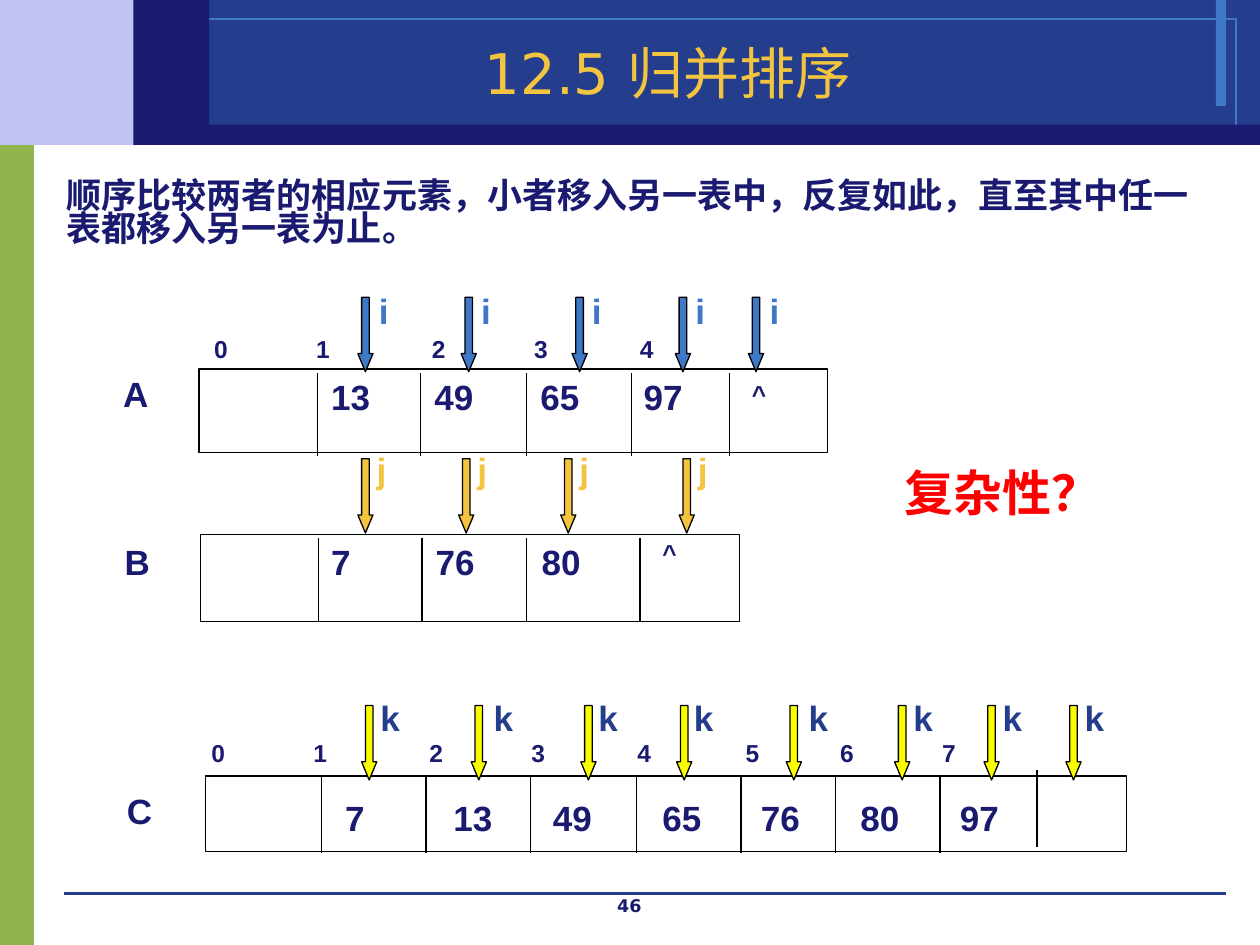
import pptx
import pptx.dml.color
import pptx.enum.shapes
import pptx.enum.text
import pptx.oxml
import pptx.oxml.ns
import pptx.util
from pptx.dml.color import RGBColor
from pptx.util import Inches

NAVY = RGBColor(0x1A, 0x1A, 0x70)
ROYAL = RGBColor(0x24, 0x3D, 0x8C)
BLUE = RGBColor(0x3E, 0x78, 0xC6)
LILAC = RGBColor(0xC3, 0xC3, 0xF1)
GREEN = RGBColor(0x90, 0xB5, 0x4D)
GOLD = RGBColor(0xF3, 0xC4, 0x3F)
YELLOW = RGBColor(0xFA, 0xFD, 0x00)
RED = RGBColor(0xFF, 0x00, 0x00)
BLACK = RGBColor(0x00, 0x00, 0x00)

SHAPE = pptx.enum.shapes.MSO_SHAPE
ALIGN = pptx.enum.text.PP_ALIGN
CJK_FONT = "Noto Sans CJK SC"
INDEX_STOPS = (0.81, 1.73, 2.54, 3.38, 4.24, 4.99, 5.8)


class MergeSlide:
    def __init__(self, slide):
        self.slide = slide
        self.font = "Arial"
        self.line_width = 0.75

    def styled_run(self, paragraph, text, size, color, bold=True, font=None):
        run = paragraph.add_run()
        run.text = text
        run.font.size = pptx.util.Pt(size)
        run.font.bold = bold
        run.font.color.rgb = color
        run.font.name = font or self.font
        east_asian = pptx.oxml.parse_xml(
            f'<a:ea {pptx.oxml.ns.nsdecls("a")} typeface="{CJK_FONT}"/>')
        run.font._element.append(east_asian)

    def title(self, text, box):
        heading = self.slide.shapes.title
        heading.left, heading.top, heading.width, heading.height = map(Inches, box)
        heading.text_frame.vertical_anchor = pptx.enum.text.MSO_ANCHOR.MIDDLE
        paragraph = heading.text_frame.paragraphs[0]
        paragraph.alignment = ALIGN.CENTER
        self.styled_run(paragraph, text, 32, GOLD, False, "DejaVu Sans")
        self.slide.shapes._spTree.append(heading._element)

    def text(self, text, box, size=20, color=NAVY, font=None, align=None,
             spacing=None, parent=None):
        label = (parent or self.slide).shapes.add_textbox(*map(Inches, box))
        label.text_frame.word_wrap = True
        paragraph = label.text_frame.paragraphs[0]
        paragraph.alignment = align
        paragraph.line_spacing = spacing
        self.styled_run(paragraph, text, size, color, font=font)
        return paragraph

    def indices(self, count, left, top, width):
        paragraph = self.text("\t".join(map(str, range(count))),
                              (left, top, width, 0.33), size=14)
        stops = "".join(f'<a:tab pos="{Inches(stop)}" algn="l"/>'
                        for stop in INDEX_STOPS[:count - 1])
        paragraph._p.get_or_add_pPr().append(pptx.oxml.parse_xml(
            f'<a:tabLst {pptx.oxml.ns.nsdecls("a")}>{stops}</a:tabLst>'))

    def shape(self, box, fill=None, line=None, width=None, kind=SHAPE.RECTANGLE,
              parent=None):
        block = (parent or self.slide).shapes.add_shape(kind, *map(Inches, box))
        block.shadow.inherit = False
        if fill is None:
            block.fill.background()
        else:
            block.fill.solid()
            block.fill.fore_color.rgb = fill
        if line is None:
            block.line.fill.background()
        else:
            block.line.color.rgb = line
            block.line.width = pptx.util.Pt(self.line_width if width is None else width)
        return block

    def line(self, start, end, color=BLACK, width=None):
        rule = self.slide.shapes.add_connector(
            pptx.enum.shapes.MSO_CONNECTOR.STRAIGHT, *map(Inches, (*start, *end)))
        rule.line.color.rgb = color
        rule.line.width = pptx.util.Pt(self.line_width if width is None else width)
        rule._element.spPr.append(pptx.oxml.parse_xml(
            f'<a:effectLst {pptx.oxml.ns.nsdecls("a")}/>'))

    def array(self, name, name_at, frame, dividers, divider_top, divider_height,
              values, value_lefts, value_top):
        self.shape(frame, line=BLACK)
        for x in dividers:
            self.line((x, divider_top), (x, divider_top + divider_height))
        for value, left in zip(values, value_lefts):
            self.text(str(value), (left, value_top, 0.67, 0.43))
        self.text(name, (*name_at, 0.67, 0.43))

    def pointers(self, name, top, name_top, places, fill, color):
        for left, name_left in places:
            pointer = self.slide.shapes.add_group_shape()
            arrow = self.shape((left, top, 0.12, 0.59), fill, BLACK,
                               kind=SHAPE.DOWN_ARROW, parent=pointer)
            arrow.adjustments[0] = 0.5
            arrow.adjustments[1] = 1.194
            self.text(name, (name_left, name_top, 0.53, 0.43), color=color,
                      parent=pointer)


def main():
    deck = pptx.Presentation()
    deck.slide_width, deck.slide_height = Inches(10), Inches(7.5)
    page = MergeSlide(deck.slides.add_slide(deck.slide_layouts[5]))

    page.shape((0, 1.07, 0.27, 6.43), GREEN)
    page.shape((0, 0, 1.53, 1.15), LILAC)
    page.shape((1.53, 0, 8.47, 1.15), ROYAL)
    page.shape((9.65, 0, 0.08, 0.84), BLUE)
    page.shape((1.19, 0.15, 8.62, 0.85), line=BLUE, width=0)
    page.line((0.51, 7.09), (9.73, 7.09), ROYAL, 0)
    page.shape((1.3, 0.99, 8.7, 0.16), NAVY)
    page.shape((1.06, 0, 0.6, 1.15), NAVY)
    page.text("46", (3.83, 7.05, 2.33, 0.25), 10, font="DejaVu Sans", align=ALIGN.CENTER)

    page.title("12.5 归并排序", (1.19, 0.26, 8.23, 0.62))
    page.text("顺序比较两者的相应元素，小者移入另一表中，反复如此，直至其中任一表都移入另一表为止。",
              (0.43, 1.39, 9.32, 0.64), font=CJK_FONT, spacing=0.8)

    page.indices(5, 1.6, 2.6, 4.25)
    page.array("A", (0.88, 2.91), (1.58, 2.93, 4.99, 0.66),
               (2.52, 3.34, 4.18, 5.01, 5.79), 2.96, 0.66,
               (13, 49, 65, 97), (2.53, 3.35, 4.19, 5.01), 2.93)
    page.array("B", (0.89, 4.24), (1.59, 4.24, 4.28, 0.69),
               (2.53, 3.35, 4.18, 5.08), 4.27, 0.66,
               (7, 76, 80), (2.53, 3.36, 4.2), 4.24)
    page.indices(8, 1.58, 5.81, 6.66)
    page.array("C", (0.91, 6.22), (1.63, 6.16, 7.31, 0.6),
               (2.55, 3.38, 4.21, 5.05, 5.88, 6.63, 7.46), 6.16, 0.61,
               (7, 13, 49, 65, 76, 80, 97),
               (2.64, 3.5, 4.29, 5.16, 5.94, 6.73, 7.52), 6.27)
    page.line((8.23, 6.11), (8.23, 6.72))
    for left, top in ((5.87, 2.96), (5.16, 4.22)):
        page.text("^", (left, top, 0.67, 0.34), size=14)

    page.pointers("i", 2.36, 2.25, ((2.84, 2.91), (3.66, 3.72), (4.54, 4.6),
                                    (5.36, 5.42), (5.94, 6.01)), BLUE, BLUE)
    page.pointers("j", 3.64, 3.51, ((2.84, 2.89), (3.64, 3.69), (4.45, 4.5),
                                    (5.39, 5.44)), GOLD, GOLD)
    page.pointers("k", 5.6, 5.48, ((2.87, 2.92), (3.74, 3.82), (4.61, 4.65),
                                   (5.37, 5.41), (6.24, 6.32), (7.1, 7.15),
                                   (7.81, 7.86), (8.46, 8.51)), YELLOW, ROYAL)
    page.text("复杂性？", (7.08, 3.62, 2.05, 0.57), 28, RED)

    deck.save("out.pptx")


if __name__ == "__main__":
    main()
